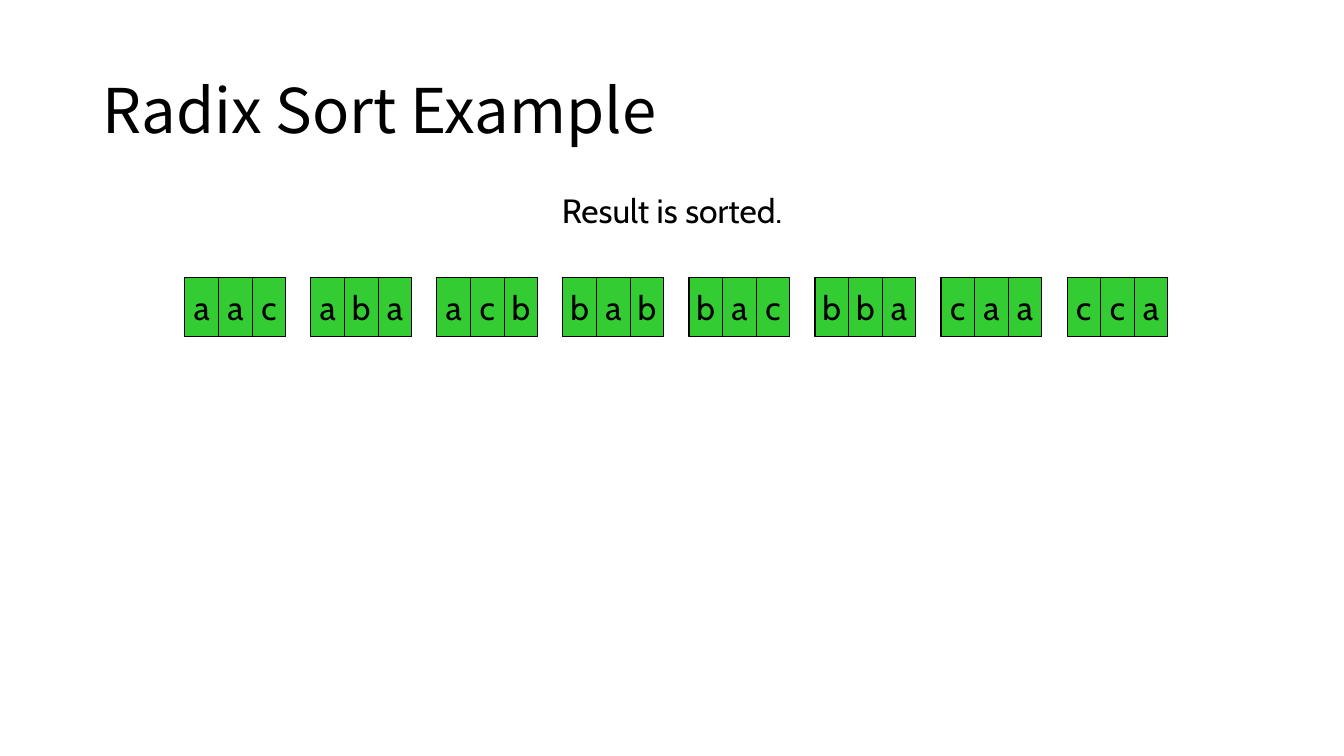
from dataclasses import dataclass

from pptx import Presentation
from pptx.dml.color import RGBColor
from pptx.enum.shapes import MSO_SHAPE
from pptx.enum.text import MSO_ANCHOR, MSO_AUTO_SIZE, PP_ALIGN
from pptx.util import Cm, Pt

RECTANGLE = MSO_SHAPE.RECTANGLE
MIDDLE = MSO_ANCHOR.MIDDLE
LEFT, CENTER = PP_ALIGN.LEFT, PP_ALIGN.CENTER
NO_AUTOFIT, GROW = MSO_AUTO_SIZE.NONE, MSO_AUTO_SIZE.SHAPE_TO_FIT_TEXT
TITLE_ONLY = 5


@dataclass(frozen=True)
class Theme:
    ink: RGBColor = RGBColor(0, 0, 0)
    sorted_fill: RGBColor = RGBColor(0x33, 0xCC, 0x33)
    title_font: str = "Noto Sans CJK KR"
    body_font: str = "Cabin"
    title_size: Pt = Pt(44)
    body_size: Pt = Pt(24)
    outline: Pt = Pt(0.75)


THEME = Theme()
SORTED_WORDS = ["aac", "aba", "acb", "bab", "bac", "bba", "caa", "cca"]


def write(paragraph, text, font, size, align):
    paragraph.alignment = align
    run = paragraph.add_run()
    run.text = text
    run.font.name = font
    run.font.size = size
    run.font.color.rgb = THEME.ink


def place_title(slide, text, left, top, width, height):
    title = slide.shapes.title
    title.left, title.top, title.width, title.height = left, top, width, height
    frame = title.text_frame
    frame.auto_size = NO_AUTOFIT
    frame.vertical_anchor = MIDDLE
    paragraph = frame.paragraphs[0]
    paragraph.line_spacing = 0.9
    write(paragraph, text, THEME.title_font, THEME.title_size, LEFT)


def add_caption(slide, text, left, top, width, height):
    frame = slide.shapes.add_textbox(left, top, width, height).text_frame
    frame.word_wrap = False
    frame.auto_size = GROW
    write(frame.paragraphs[0], text, THEME.body_font, THEME.body_size, CENTER)


def add_word(slide, word, left, top, width, height):
    group = slide.shapes.add_group_shape()
    cell_width = width / len(word)
    for index, letter in enumerate(word):
        cell = group.shapes.add_shape(
            RECTANGLE, round(left + index * cell_width), top, round(cell_width), height
        )
        cell.shadow.inherit = False
        cell.fill.solid()
        cell.fill.fore_color.rgb = THEME.sorted_fill
        cell.line.color.rgb = THEME.ink
        cell.line.width = THEME.outline
        frame = cell.text_frame
        frame.word_wrap = False
        frame.vertical_anchor = MIDDLE
        write(frame.paragraphs[0], letter, THEME.body_font, THEME.body_size, CENTER)


def add_word_row(slide, words, left, top, width, height):
    word_width = Cm(2.54)
    pitch = (width - word_width) / (len(words) - 1)
    for index, word in enumerate(words):
        add_word(slide, word, left + index * pitch, top, word_width, height)


def main():
    deck = Presentation()
    deck.slide_width, deck.slide_height = Cm(33.87), Cm(19.05)
    slide = deck.slides.add_slide(deck.slide_layouts[TITLE_ONLY])
    place_title(slide, "Radix Sort Example", Cm(2.33), Cm(1.01), Cm(29.21), Cm(3.68))
    add_word_row(slide, SORTED_WORDS, Cm(4.66), Cm(6.99), Cm(24.77), Cm(1.48))
    add_caption(slide, "Result is sorted.", Cm(13.69), Cm(4.66), Cm(6.5), Cm(1.28))
    deck.save("out.pptx")


if __name__ == "__main__":
    main()
